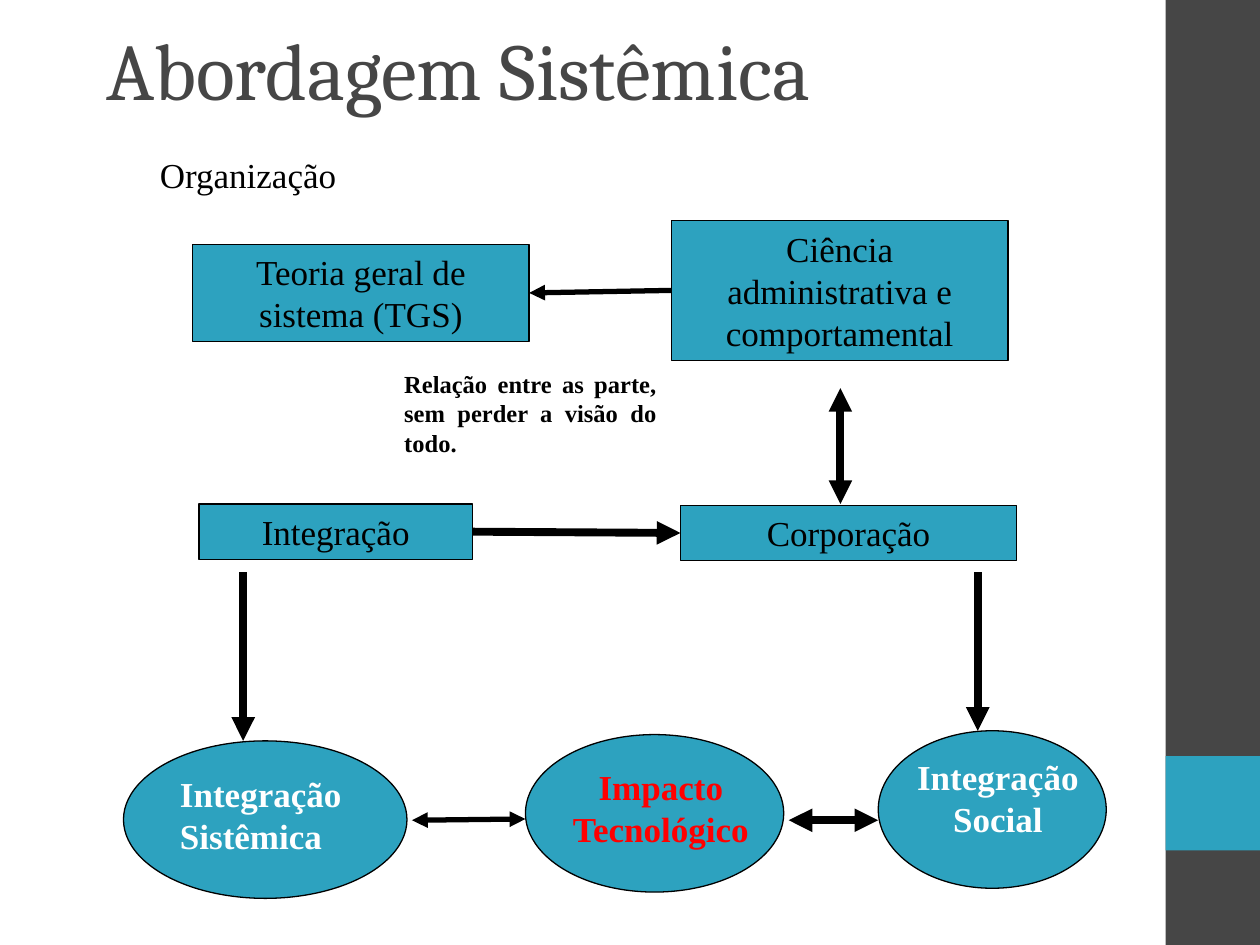
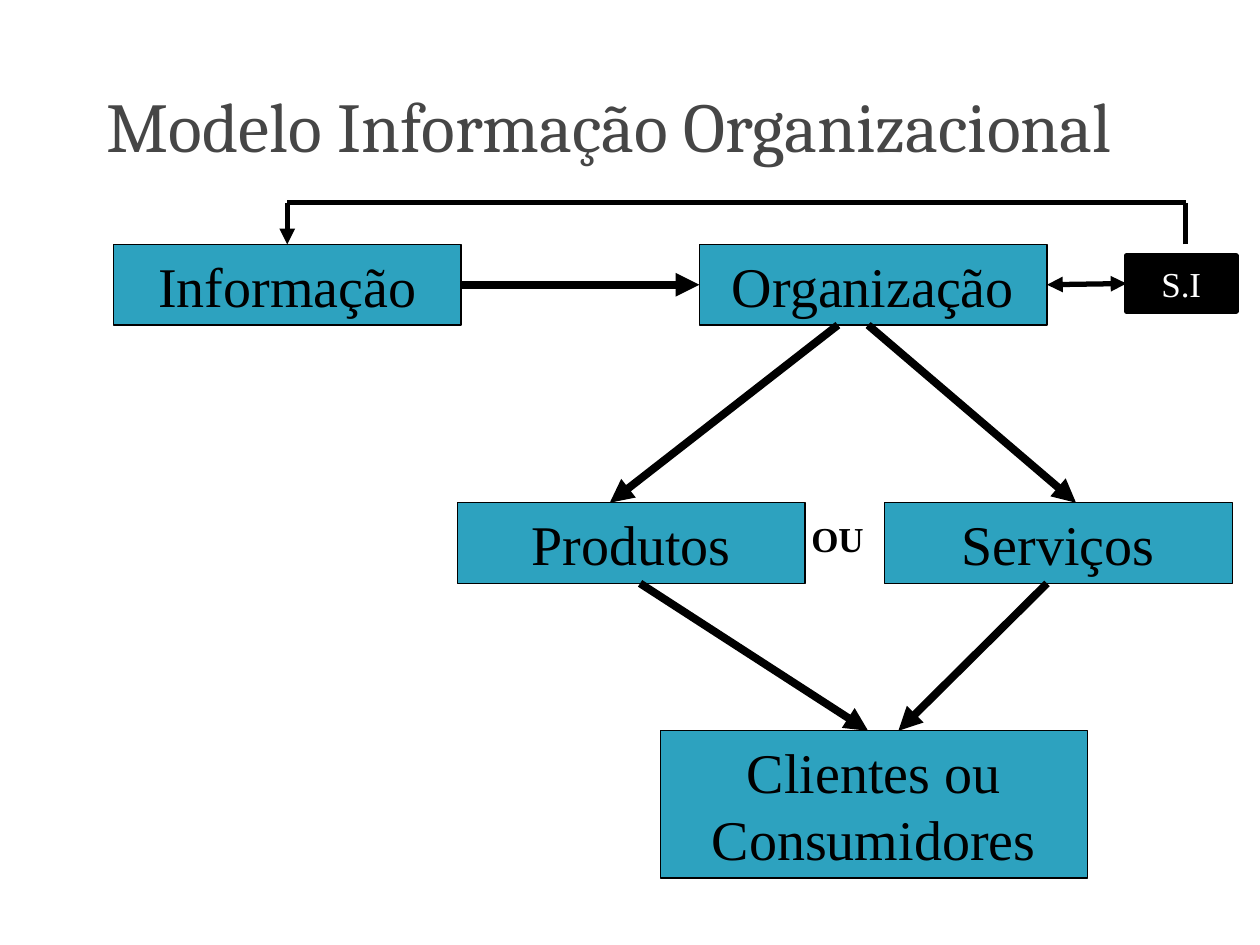
import pptx
import pptx.util
import pptx.dml.color
import pptx.enum.shapes
import pptx.enum.text
import pptx.oxml.ns
import pptx.shapes.autoshape
from lxml import etree

Kind = pptx.enum.shapes.MSO_SHAPE
Align = pptx.enum.text.PP_ALIGN
Anchor = pptx.enum.text.MSO_ANCHOR
qname = pptx.oxml.ns.qn
TOP, LEFT, BOTTOM, RIGHT = range(4)


def tint(code):
    return pptx.dml.color.RGBColor.from_string(code)


class Deck:
    """Draws styled elements on the current slide, on a grid of 100 columns by 75 rows."""

    gray, teal, black, white, red = "464646", "2DA2BF", "000000", "FFFFFF", "FF0000"
    serif, head = "Times New Roman", "Cambria"
    cols, rows = 100, 75

    def __init__(self):
        self.file = pptx.Presentation()
        self.file.slide_width = pptx.util.Inches(10)
        self.file.slide_height = pptx.util.Inches(7.5)
        self.page = None

    def start(self, title, size, top, high):
        self.page = self.file.slides.add_slide(self.file.slide_layouts[6])
        self.text(title, 7.5, top, 85, high, size, self.gray, False,
                  font=self.head, anchor=Anchor.MIDDLE)

    def place(self, col, row):
        wide, high = self.file.slide_width, self.file.slide_height
        return int(wide * col / self.cols), int(high * row / self.rows)

    def label(self, shape, text, size, color, bold, align, font, anchor):
        frame = shape.text_frame
        frame.word_wrap = True
        frame.vertical_anchor = anchor
        frame.text = text
        for para in frame.paragraphs:
            para.alignment = align
            for run in para.runs:
                run.font.size = pptx.util.Pt(size)
                run.font.name = font
                run.font.bold = bold
                run.font.color.rgb = tint(color)

    def text(self, text, col, row, wide, high, size=20, color=black, bold=True,
             align=Align.LEFT, font=serif, anchor=Anchor.TOP):
        shape = self.page.shapes.add_textbox(*self.place(col, row), *self.place(wide, high))
        self.label(shape, text, size, color, bold, align, font, anchor)

    def shape(self, kind, col, row, wide, high, fill=teal, line=0.75):
        shape = self.page.shapes.add_shape(kind, *self.place(col, row), *self.place(wide, high))
        shape.shadow.inherit = False
        shape.fill.solid()
        shape.fill.fore_color.rgb = tint(fill)
        if line:
            shape.line.color.rgb = tint(self.black)
            shape.line.width = pptx.util.Pt(line)
        else:
            shape.line.fill.background()
        return shape

    def box(self, text, col, row, wide, high, size=20, fill=teal, color=black, line=0.75):
        shape = self.shape(Kind.RECTANGLE, col, row, wide, high, fill, line)
        self.label(shape, text, size, color, False, Align.CENTER, self.serif, Anchor.MIDDLE)
        return shape

    def oval(self, col, row, wide, high):
        self.shape(Kind.OVAL, col, row, wide, high)

    def band(self):
        self.shape(Kind.RECTANGLE, 92.5, 0, 7.5, 75, self.gray, 0)
        self.shape(Kind.RECTANGLE, 92.5, 60, 7.5, 7.5, self.teal, 0)

    def arrow(self, start, end, width=4.5, tips=("tailEnd",)):
        joins = [isinstance(spot[0], pptx.shapes.autoshape.Shape) for spot in (start, end)]
        spots = [(0, 0) if join else self.place(*spot)
                 for join, spot in zip(joins, (start, end))]
        link = self.page.shapes.add_connector(
            pptx.enum.shapes.MSO_CONNECTOR.STRAIGHT, *spots[0], *spots[1])
        if joins[0]:
            link.begin_connect(*start)
        if joins[1]:
            link.end_connect(*end)
        link.line.color.rgb = tint(self.black)
        link.line.width = pptx.util.Pt(width)
        props = link.element.spPr
        stroke = props.find(qname("a:ln"))
        for tip in tips:
            etree.SubElement(stroke, qname("a:" + tip), type="triangle")
        etree.SubElement(props, qname("a:effectLst"))


def systems(deck):
    both = ("headEnd", "tailEnd")
    deck.start("Abordagem Sistêmica", 46, 3.3, 4.2)
    deck.band()
    deck.text("Organização", 11.7, 11.7, 40, 4.4, bold=False)
    theory = deck.box("Teoria geral de sistema (TGS)", 15.3, 19.4, 26.7, 7.7)
    science = deck.box("Ciência administrativa e comportamental", 53.3, 17.5, 26.7, 11.1)
    deck.arrow((science, LEFT), (theory, RIGHT), 3)
    deck.text("Relação entre as parte, sem perder a visão do todo.",
              31.1, 28.8, 22, 8, 14, align=Align.JUSTIFY)
    union = deck.box("Integração", 15.8, 40, 21.7, 4.4)
    firm = deck.box("Corporação", 54, 40.1, 26.7, 4.4)
    deck.arrow((union, RIGHT), (firm, LEFT))
    deck.arrow((66.7, 30.8), (66.7, 40), tips=both)
    deck.arrow((19.3, 45.4), (19.3, 58.8))
    deck.arrow((77.6, 45.4), (77.6, 58))
    for col, row, wide in ((9.8, 58.8, 22.5), (41.7, 58.3, 20.5), (69.7, 58, 18.1)):
        deck.oval(col, row, wide, 12.5)
    deck.text("Integração\vSistêmica", 13.3, 60.8, 15.8, 7.7, color=deck.white)
    deck.text("Impacto Tecnológico", 43.7, 60.3, 17.5, 7.7,
              color=deck.red, align=Align.CENTER)
    deck.text("Integração\vSocial", 71.3, 59.5, 15.8, 7.7,
              color=deck.white, align=Align.CENTER)
    deck.arrow((32.7, 65.1), (41.7, 65), 3, both)
    deck.arrow((62.6, 65.1), (69.7, 65.1), tips=both)


def model(deck):
    wide, high, first, second, third = 27.6, 6.4, 19.4, 39.9, 58
    deck.start("Modelo Informação Organizacional", 40, 3.6, 12.5)
    info = deck.box("Informação", 9, first, wide, high, 32)
    firm = deck.box("Organização", 55.5, first, wide, high, 32)
    system = deck.box("S.I", 89.4, 20.3, 8.7, 4.4, fill=deck.black, color=deck.white, line=3)
    deck.box("Produtos", 36.3, second, wide, high, 32)
    deck.box("Serviços", 70.2, second, wide, high, 32)
    deck.box("Clientes ou Consumidores", 52.4, third, 33.9, 11.7, 32)
    deck.text("OU", 63.4, 40.6, 9.5, 4.4)
    deck.arrow((info, RIGHT), (firm, LEFT))
    deck.arrow((firm, RIGHT), (system, LEFT), 3, ("headEnd", "tailEnd"))
    for start, end in ((66.5, 48.4), (68.9, 85.4)):
        deck.arrow((start, first + high), (end, second))
    for start, end in ((50.8, 68.9), (83.1, 71.3)):
        deck.arrow((start, second + high), (end, third))
    near, far, bend = 22.8, 94.1, 16.1
    deck.arrow((far, first), (far, bend), 3, ())
    deck.arrow((far, bend), (near, bend), 3, ())
    deck.arrow((near, bend), (info, TOP), 3)


def main():
    deck = Deck()
    systems(deck)
    model(deck)
    deck.file.save("out.pptx")


if __name__ == "__main__":
    main()
